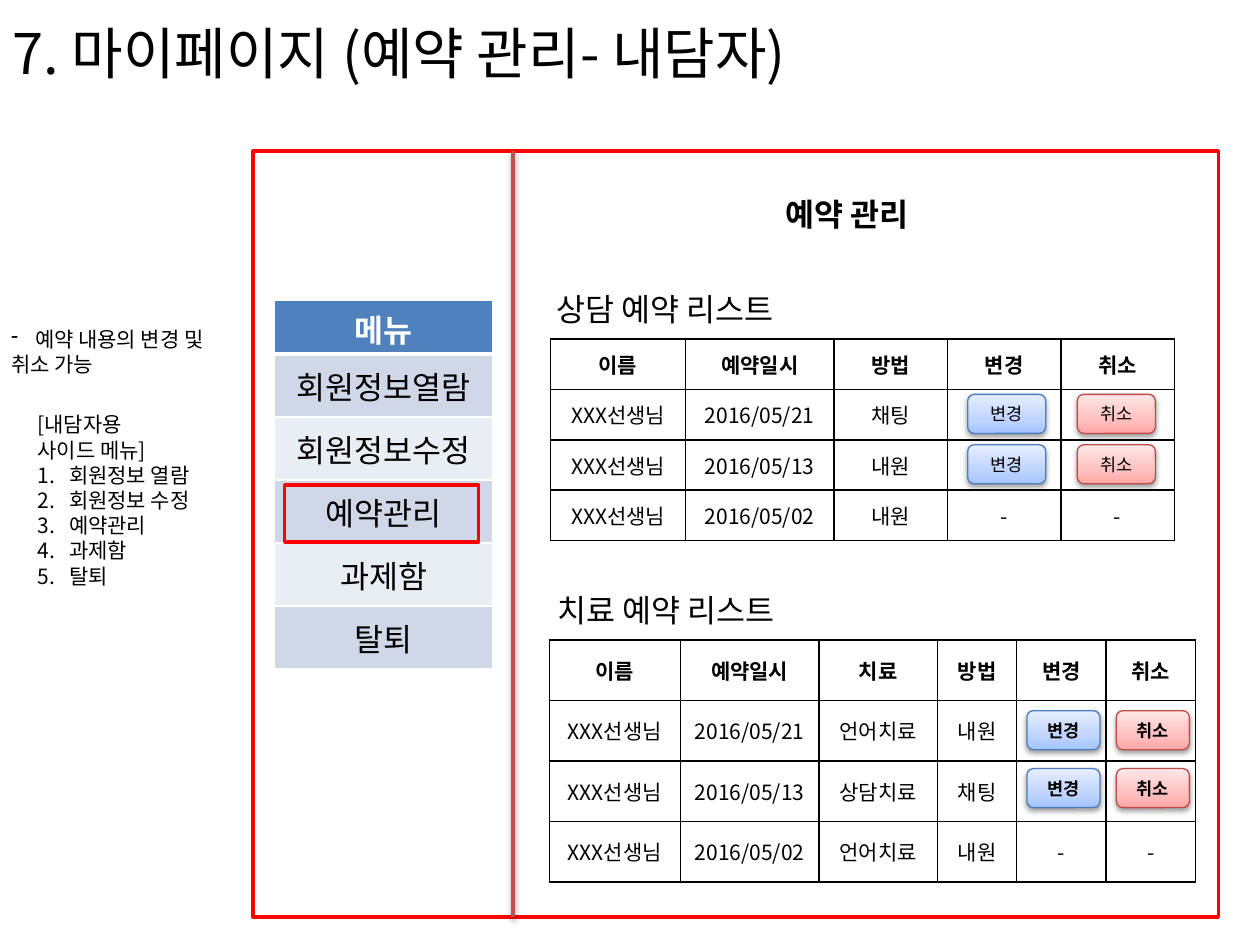
from lxml import etree
from pptx import Presentation
from pptx.dml.color import RGBColor
from pptx.enum.shapes import MSO_CONNECTOR, MSO_SHAPE
from pptx.enum.text import MSO_ANCHOR, MSO_AUTO_SIZE, PP_ALIGN
from pptx.oxml.ns import qn
from pptx.util import Inches, Pt

RECT, ROUNDED = MSO_SHAPE.RECTANGLE, MSO_SHAPE.ROUNDED_RECTANGLE
LEFT, CENTER = PP_ALIGN.LEFT, PP_ALIGN.CENTER
TOP, MIDDLE = MSO_ANCHOR.TOP, MSO_ANCHOR.MIDDLE
FIT_SHAPE = MSO_AUTO_SIZE.SHAPE_TO_FIT_TEXT
STRAIGHT = MSO_CONNECTOR.STRAIGHT
KOREAN, LATIN = "Noto Sans CJK KR", "Arial"
BLACK, WHITE, RED = "000000", "FFFFFF", "FF0000"

TITLE = "7. 마이페이지 (예약 관리- 내담자)"
HEADING = "예약 관리"
LIST_TITLES = [
    ("상담 예약 리스트", (4.32, 2.2, 2.51, 0.4)),
    ("치료 예약 리스트", (4.33, 4.59, 2.5, 0.4)),
]
MENU = ["메뉴", "회원정보열람", "회원정보수정", "예약관리", "과제함", "탈퇴"]
MENU_BANDS = ["E9EDF4", "D0D8E8"]
COUNSELING = [
    ["이름", "예약일시", "방법", "변경", "취소"],
    ["XXX선생님", "2016/05/21", "채팅", "", ""],
    ["XXX선생님", "2016/05/13", "내원", "", ""],
    ["XXX선생님", "2016/05/02", "내원", "-", "-"],
]
THERAPY = [
    ["이름", "예약일시", "치료", "방법", "변경", "취소"],
    ["XXX선생님", "2016/05/21", "언어치료", "내원", "", ""],
    ["XXX선생님", "2016/05/13", "상담치료", "채팅", "", ""],
    ["XXX선생님", "2016/05/02", "언어치료", "내원", "-", "-"],
]
RESERVATIONS = [
    (COUNSELING, 4.37, 2.69, [1.07, 1.18, 0.9, 0.9, 0.9], 0.4),
    (THERAPY, 4.36, 5.08, [1.04, 1.1, 0.94, 0.63, 0.71, 0.71], 0.48),
]
BUTTON_STYLES = {
    "변경": ("4B7EBC", ["A4C4FF", "BFD4FF", "E6EEFF"]),
    "취소": ("BF4C48", ["FFA6A5", "FFC0BF", "FFE7E7"]),
}
BUTTON_GROUPS = [
    ({"변경": 7.68, "취소": 8.55}, [3.13, 3.53], 0.62, False),
    ({"변경": 8.15, "취소": 8.86}, [5.64, 6.1], 0.58, True),
]
CHANGE_NOTE = [("예약 내용의 변경 및", "-"), ("취소 가능", None)]
MENU_NOTE = [("[내담자용", None), ("사이드 메뉴]", None)] + [
    (item, "1.") for item in ["회원정보 열람", "회원정보 수정", "예약관리", "과제함", "탈퇴"]
]


def color(value):
    return RGBColor.from_string(value)


def add_xml(parent, tag, **attributes):
    return etree.SubElement(parent, qn("a:" + tag), attributes)


def add_span(para, text, size, bold=False, ink=BLACK, font=KOREAN):
    span = para.add_run()
    span.text = text
    span.font.size = Pt(size)
    span.font.bold = bold
    span.font.name = font
    span.font.color.rgb = color(ink)
    add_xml(span.font._element, "ea", typeface=KOREAN)


def add_text(page, area, lines, size, bold=False, align=LEFT, anchor=TOP,
             wrap=True, fit=False, indent=0.25, margins=(0.1, 0.05, 0.1, 0.05)):
    frame = page.shapes.add_textbox(*map(Inches, area)).text_frame
    frame.word_wrap = wrap
    frame.vertical_anchor = anchor
    if fit:
        frame.auto_size = FIT_SHAPE
    (frame.margin_left, frame.margin_top,
     frame.margin_right, frame.margin_bottom) = map(Inches, margins)
    for index, (text, bullet) in enumerate(lines):
        para = frame.add_paragraph() if index else frame.paragraphs[0]
        para.alignment = align
        if bullet:
            props = para._p.get_or_add_pPr()
            props.set("marL", str(Inches(indent)))
            props.set("indent", str(-Inches(indent)))
            if bullet == "-":
                add_xml(props, "buChar", char=bullet)
            else:
                add_xml(props, "buAutoNum", type="arabicPeriod")
        add_span(para, text, size, bold)


def add_shadow(shape):
    props = shape._element.spPr
    effects = props.find(qn("a:effectLst"))
    if effects is None:
        effects = add_xml(props, "effectLst")
    shadow = add_xml(effects, "outerShdw", blurRad="40000", dist="20000",
                     dir="5400000", rotWithShape="0")
    add_xml(add_xml(shadow, "srgbClr", val=BLACK), "alpha", val="38000")


def add_box(page, kind, area, line, width, fill=None):
    box = page.shapes.add_shape(kind, *map(Inches, area))
    box.line.color.rgb = color(line)
    box.line.width = Pt(width)
    if fill:
        box.fill.solid()
        box.fill.fore_color.rgb = color(fill)
    else:
        box.fill.background()
    box.shadow.inherit = False
    return box


def add_button(page, area, text, bold):
    line, stops = BUTTON_STYLES[text]
    box = add_box(page, ROUNDED, area, line, 0.75)
    box.fill.gradient()
    box.fill.gradient_angle = 90
    stop_list = box._element.spPr.find(".//" + qn("a:gsLst"))
    for stop in list(stop_list):
        stop_list.remove(stop)
    for place, stop in zip([0, 35000, 100000], stops):
        add_xml(add_xml(stop_list, "gs", pos=str(place)), "srgbClr", val=stop)
    add_shadow(box)
    frame = box.text_frame
    frame.vertical_anchor = MIDDLE
    para = frame.paragraphs[0]
    para.alignment = CENTER
    add_span(para, text, 10, bold, font=LATIN)


def style_cell(cell, text, size, bold, ink, fill, edge, widths):
    props = cell._tc.get_or_add_tcPr()
    for side, width in zip(["lnL", "lnR", "lnT", "lnB"], widths):
        line = add_xml(props, side, w=str(Pt(width)))
        add_xml(add_xml(line, "solidFill"), "srgbClr", val=edge)
    if fill:
        cell.fill.solid()
        cell.fill.fore_color.rgb = color(fill)
    else:
        cell.fill.background()
    cell.vertical_anchor = MIDDLE
    para = cell.text_frame.paragraphs[0]
    para.alignment = CENTER
    if text:
        add_span(para, text, size, bold, ink)
    else:
        add_xml(para._p, "endParaRPr", sz=str(size * 100))


def add_grid(page, left, top, columns, heights):
    grid = page.shapes.add_table(
        len(heights), len(columns), Inches(left), Inches(top),
        Inches(sum(columns)), Inches(sum(heights))).table
    grid.horz_banding = False
    for column, width in zip(grid.columns, columns):
        column.width = Inches(width)
    for row, height in zip(grid.rows, heights):
        row.height = Inches(height)
    return grid


def main():
    deck = Presentation()
    deck.slide_width, deck.slide_height = Inches(10), Inches(7.5)
    page = deck.slides.add_slide(deck.slide_layouts[6])

    add_text(page, (0, -0.01, 9.71, 0.85), [(TITLE, None)], 32, anchor=MIDDLE)
    add_box(page, RECT, (2.01, 1.2, 7.66, 6.08), RED, 2, WHITE)
    add_text(page, (6.09, 1.5, 1.27, 0.4), [(HEADING, None)], 18, True, CENTER,
             wrap=False, fit=True)

    menu = add_grid(page, 2.18, 2.38, [1.73], [0.43] + [0.5] * 5)
    for row, text in enumerate(MENU):
        header = row == 0
        style_cell(menu.cell(row, 0), text, 18, header, WHITE if header else BLACK,
                   "4F81BD" if header else MENU_BANDS[row % 2], WHITE,
                   (1, 1, 3 if row == 1 else 1, 3 if header else 1))

    divider = page.shapes.add_connector(
        STRAIGHT, Inches(4.07), Inches(1.2), Inches(4.07), Inches(7.28))
    divider.line.color.rgb = color("C0504D")
    divider.line.width = Pt(2)
    add_shadow(divider)
    add_box(page, RECT, (2.26, 3.85, 1.54, 0.45), RED, 2)

    for rows, left, top, columns, height in RESERVATIONS:
        grid = add_grid(page, left, top, columns, [height] * len(rows))
        for row, texts in enumerate(rows):
            for column, text in enumerate(texts):
                style_cell(grid.cell(row, column), text, 12, row == 0,
                           BLACK, None, BLACK, (1, 1, 1, 1))

    for text, area in LIST_TITLES:
        add_text(page, area, [(text, None)], 18, margins=(0.1, 0.1, 0.1, 0.1))
    for lefts, tops, width, bold in BUTTON_GROUPS:
        for text, left in lefts.items():
            for top in tops:
                add_button(page, (left, top, width, 0.31), text, bold)

    note_margins = (0.1, 0.05, 0, 0.05)
    add_text(page, (-0.01, 2.54, 1.86, 0.5), CHANGE_NOTE, 12, wrap=False, fit=True,
             indent=0.19, margins=note_margins)
    add_text(page, (0.2, 3.22, 1.61, 1.51), MENU_NOTE, 12, fit=True, margins=note_margins)
    deck.save("out.pptx")


if __name__ == "__main__":
    main()
